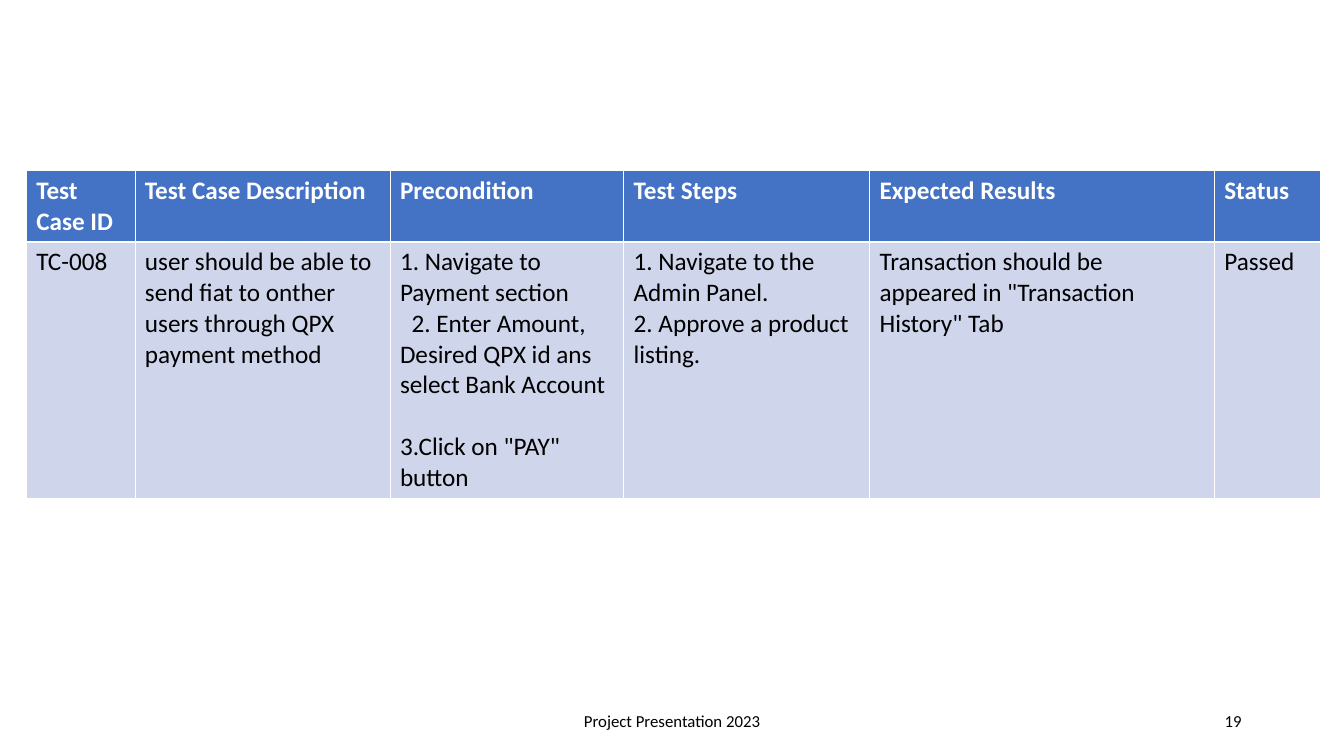
"""Build the test case slide with its table and footer."""
from dataclasses import dataclass

from lxml import etree
from pptx import Presentation
from pptx import util as u
from pptx.dml.color import RGBColor
from pptx.enum import text
from pptx.oxml.ns import qn


@dataclass(frozen=True)
class Theme:
    font: str = "Calibri"
    table_size: int = 18
    footer_size: int = 12
    ink: str = "000000"
    white: str = "FFFFFF"
    header: str = "4472C4"
    band: str = "CFD5EA"
    thin: float = 0.45
    thick: float = 1.47


class Deck:
    def __init__(self, theme, width, height):
        self.theme = theme
        self.prs = Presentation()
        self.prs.slide_width, self.prs.slide_height = u.Cm(width), u.Cm(height)
        self.s = self.prs.slides.add_slide(self.prs.slide_layouts[6])

    def style(self, tf, size, color, bold=False, align=text.PP_ALIGN.LEFT):
        for p in tf.paragraphs:
            p.alignment = align
            for r in p.runs:
                r.font.name, r.font.size, r.font.bold = self.theme.font, u.Pt(size), bold
                r.font.color.rgb = RGBColor.from_string(color)

    def border(self, cell, side, width):
        ln = etree.SubElement(cell._tc.get_or_add_tcPr(), qn(f"a:ln{side}"), w=str(u.Pt(width)))
        fill = etree.SubElement(ln, qn("a:solidFill"))
        etree.SubElement(fill, qn("a:srgbClr"), val=self.theme.white)

    def table(self, left, top, widths, heights, rows):
        t = self.theme
        table = self.s.shapes.add_table(
            len(rows), len(widths), u.Cm(left), u.Cm(top),
            u.Cm(sum(widths)), u.Cm(sum(heights))).table
        for column, width in zip(table.columns, widths):
            column.width = u.Cm(width)
        for i, (row, height) in enumerate(zip(rows, heights)):
            table.rows[i].height = u.Cm(height)
            head = i == 0
            for j, words in enumerate(row):
                cell = table.cell(i, j)
                cell.text_frame.text = words
                self.style(cell.text_frame, t.table_size, t.white if head else t.ink, head)
                for side in "LRTB":
                    heavy = side == ("B" if head else "T")
                    self.border(cell, side, t.thick if heavy else t.thin)
                cell.fill.solid()
                cell.fill.fore_color.rgb = RGBColor.from_string(t.header if head else t.band)
        return table

    def footer(self, left, width, words, align):
        tf = self.s.shapes.add_textbox(u.Cm(left), u.Cm(17.65), u.Cm(width), u.Cm(1.02)).text_frame
        tf.word_wrap = True
        tf.vertical_anchor = text.MSO_ANCHOR.MIDDLE
        tf.text = words
        self.style(tf, self.theme.footer_size, self.theme.ink, align=align)


def main():
    deck = Deck(Theme(), 33.88, 19.05)
    table = deck.table(
        0.66, 4.29, [2.74, 6.43, 5.89, 6.2, 8.69, 2.67], [1.78, 6.45],
        [["Test Case ID", "Test Case Description", "Precondition",
          "Test Steps", "Expected Results", "Status"],
         ["TC-008",
          "user should be able to send fiat to onther users through QPX payment method",
          "1. Navigate to Payment section\n"
          "2. Enter Amount, Desired QPX id ans select Bank Account\n"
          '3.Click on "PAY" button',
          "1. Navigate to the Admin Panel.\n2. Approve a product listing.",
          'Transaction should be appeared in "Transaction History" Tab',
          "Passed"]])
    _, enter_amount, click_pay = table.cell(1, 2).text_frame.paragraphs
    enter_amount._p.get_or_add_pPr().set("indent", str(u.Cm(0.29)))
    click_pay.space_before = u.Pt(22)
    deck.footer(11.23, 11.43, "Project Presentation 2023", text.PP_ALIGN.CENTER)
    deck.footer(23.93, 7.62, "19", text.PP_ALIGN.RIGHT)
    deck.prs.save("out.pptx")


if __name__ == "__main__":
    main()
